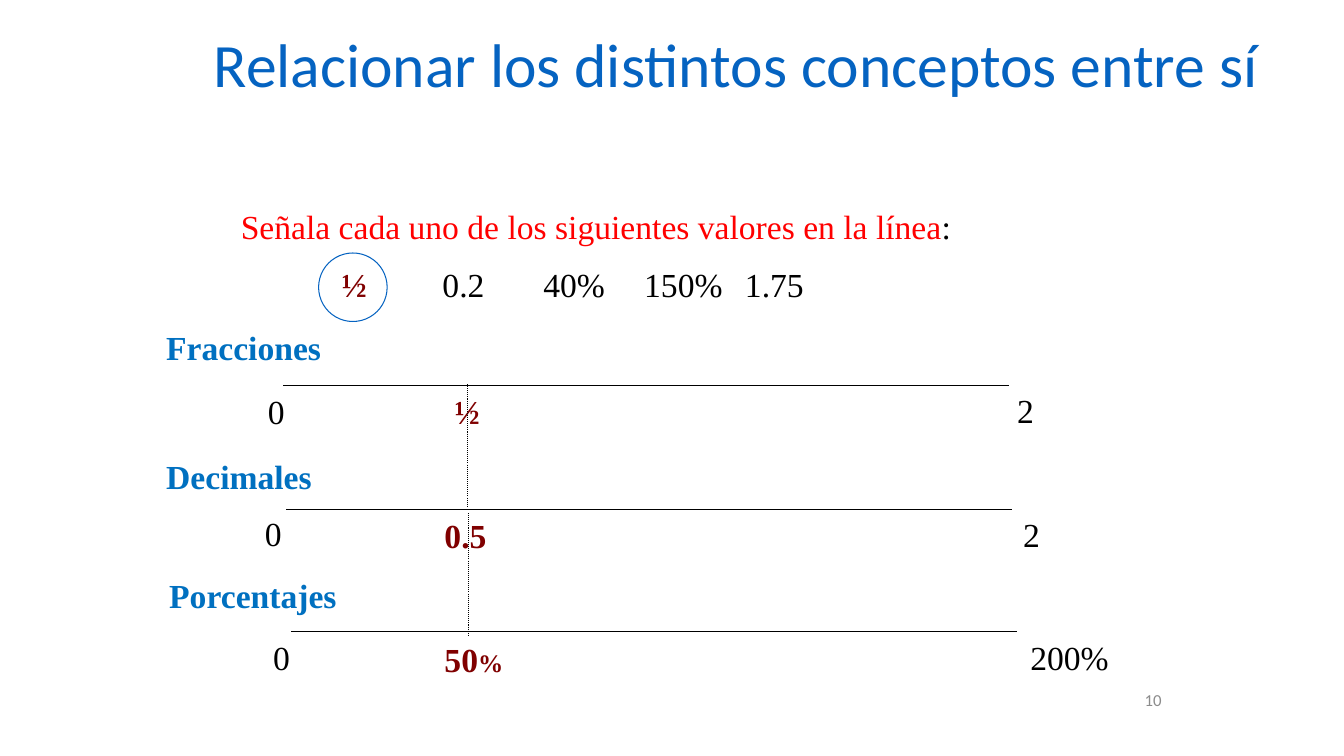
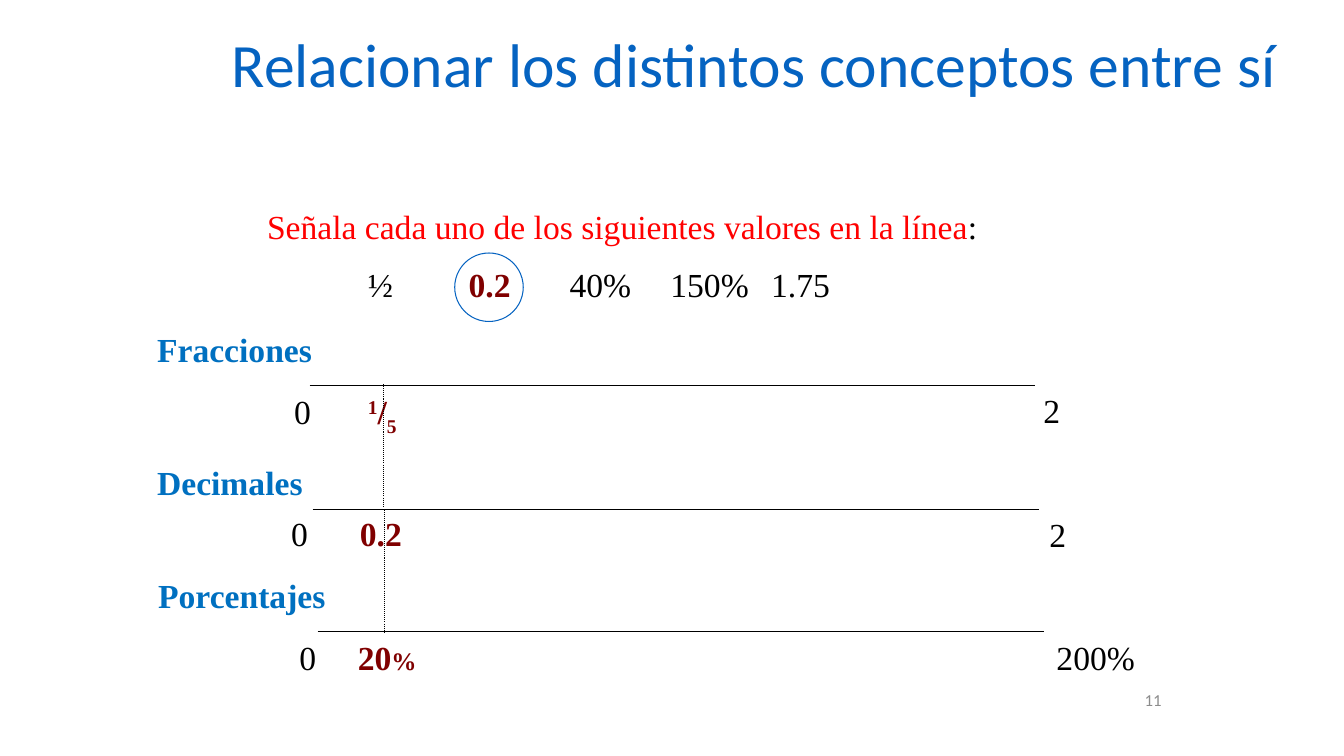
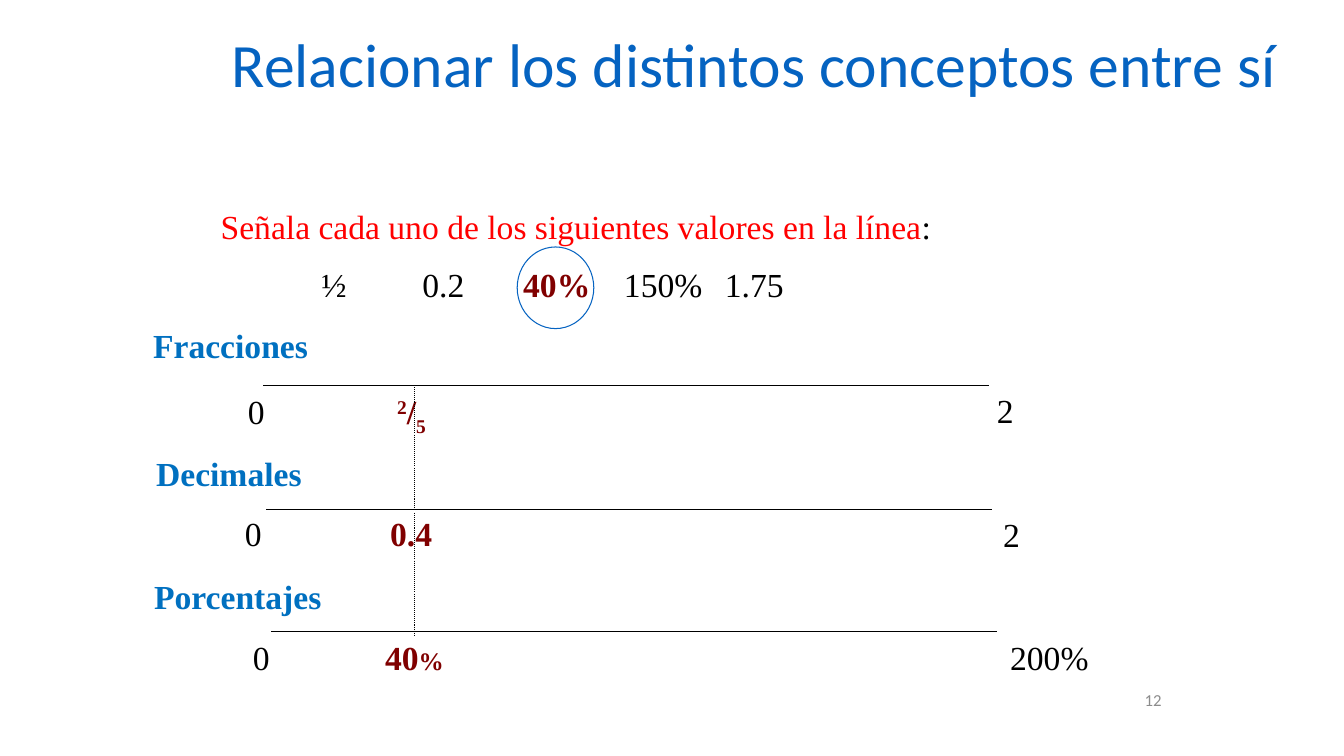
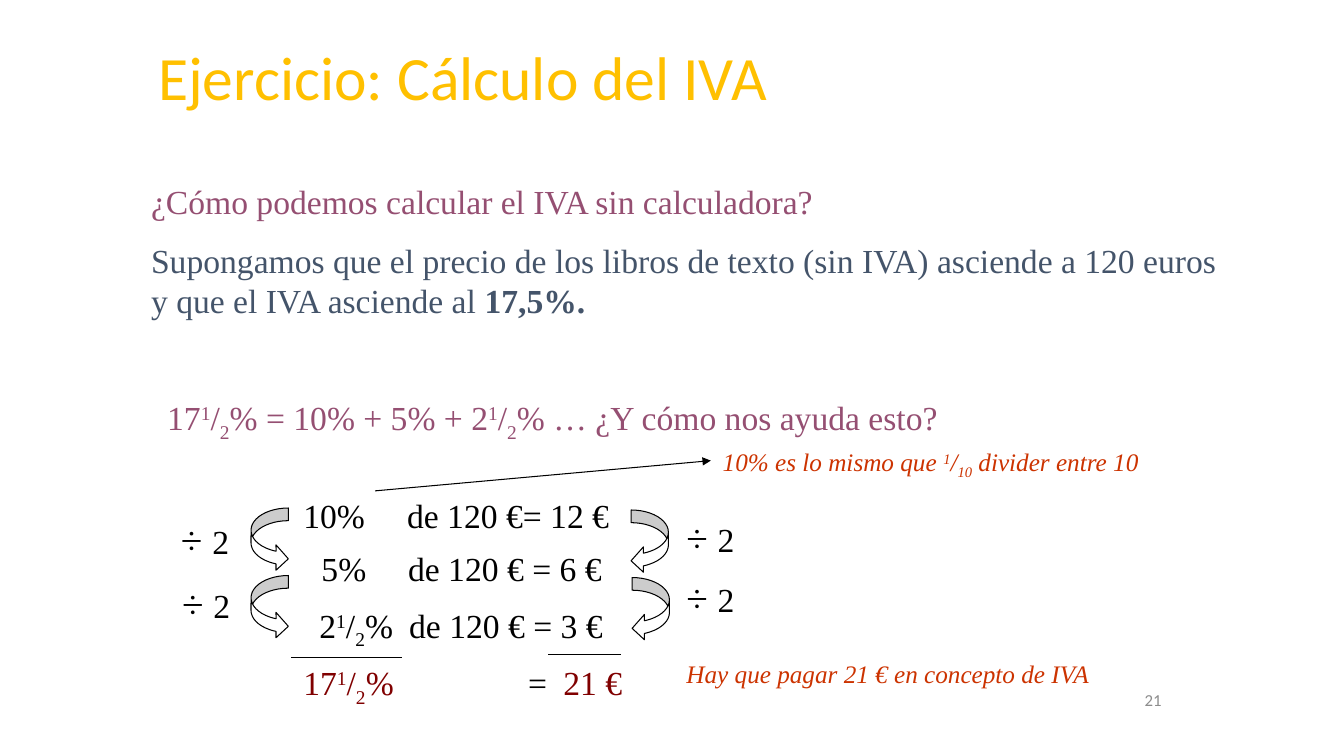
from dataclasses import dataclass
from typing import Any, NamedTuple

from lxml import etree
from pptx import Presentation
from pptx.dml.color import RGBColor
from pptx.enum import dml, shapes, text
from pptx.oxml.ns import qn
from pptx.util import Inches, Pt

BLUE = RGBColor(0x05, 0x63, 0xC1)
HEADING = RGBColor(0x00, 0x70, 0xC0)
GOLD = RGBColor(0xFF, 0xC0, 0x00)
RED = RGBColor(0xFF, 0x00, 0x00)
MAROON = RGBColor(0x80, 0x00, 0x00)
PLUM = RGBColor(0x95, 0x4F, 0x72)
SLATE = RGBColor(0x44, 0x54, 0x6A)
RUST = RGBColor(0xCC, 0x33, 0x00)
GREY = RGBColor(0x8C, 0x8C, 0x8C)
BLACK = RGBColor(0, 0, 0)
WHITE = RGBColor(0xFF, 0xFF, 0xFF)

SANS, SERIF = "Calibri", "Times New Roman"
RIGHT = text.PP_ALIGN.RIGHT
VALUES = ("½", "0.2", "40%", "150%", "1.75")


class Run(NamedTuple):
    text: str
    color: RGBColor = BLACK
    format: dict[str, Any] = {}
    baseline: int = 0


class Point(NamedTuple):
    x: float
    y: float


class Box(NamedTuple):
    left: float
    top: float
    width: float
    height: float = 0.5


Paragraph = list[Run]


class Scale(NamedTuple):
    """A number line; x offsets are from the left of the exercise."""
    name: str
    end: str
    end_width: float
    y: float
    line_dx: float
    zero_dx: float
    zero_y: float
    end_dx: float


SCALES = (
    Scale("Fracciones", "2", 0.57, 3.82, 0.52, 0.27, 3.83, 7.7),
    Scale("Decimales", "2", 0.57, 5.05, 0.55, 0.24, 5.04, 7.76),
    Scale("Porcentajes", "200%", 1.19, 6.27, 0.6, 0.32, 6.27, 7.83),
)
SCALE_LENGTH = 7.2


@dataclass(frozen=True)
class Exercise:
    number: int
    title: Box
    left: float
    chosen: int
    circle: Box
    headings: tuple[Point, ...]
    marks: tuple[Paragraph, ...]
    mark_points: tuple[Point, ...]
    guides: tuple[Point, ...]


def fraction(top: str, bottom: str, color: RGBColor = BLACK, **fmt: Any) -> Paragraph:
    return [Run(top, color, fmt, 30), Run("/", color, fmt), Run(bottom, color, fmt, -25)]


def bold(value: str) -> Paragraph:
    return [Run(value, MAROON, {"bold": True})]


def percent(value: str) -> Paragraph:
    return bold(value) + [Run("%", MAROON, {"bold": True, "size": Pt(18)})]


def add_text(parent: Any, box: Box, *paragraphs: Paragraph, tabs: tuple[float, ...] = (),
             anchor: Any = text.MSO_ANCHOR.TOP, **layout: Any) -> None:
    sp = parent.add_textbox(*map(Inches, box))
    tf = sp.text_frame
    tf.word_wrap = True
    tf.vertical_anchor = anchor
    for i, runs in enumerate(paragraphs):
        p = tf.paragraphs[0] if i == 0 else tf.add_paragraph()
        if tabs:
            stops = etree.SubElement(p._p.get_or_add_pPr(), qn("a:tabLst"))
            for x in tabs:
                etree.SubElement(stops, qn("a:tab"), pos=str(Inches(x)), algn="l")
        if i:
            p.space_before = Pt(13)
        for key, value in layout.items():
            setattr(p, key, value)
        for run in runs:
            r = p.add_run()
            r.text = run.text
            for key, value in ({"name": SERIF, "size": Pt(24)} | run.format).items():
                setattr(r.font, key, value)
            r.font.color.rgb = run.color
            if run.baseline:
                r._r.get_or_add_rPr().set("baseline", str(run.baseline * 1000))


def add_line(parent: Any, start: Point, end: Point, dotted: bool = False,
             arrow: bool = False) -> None:
    line = parent.add_connector(shapes.MSO_CONNECTOR.STRAIGHT, *map(Inches, start + end))
    line.line.color.rgb = BLACK
    line.line.width = Pt(0.75)
    if dotted:
        line.line.dash_style = dml.MSO_LINE.ROUND_DOT
    if arrow:
        etree.SubElement(line.line._get_or_add_ln(), qn("a:tailEnd"), type="triangle")
    etree.SubElement(line._element.spPr, qn("a:effectLst"))


def add_outlined(parent: Any, kind: Any, box: Box, color: RGBColor) -> Any:
    sp = parent.add_shape(kind, *map(Inches, box))
    sp.shadow.inherit = False
    sp.fill.background()
    sp.line.color.rgb = color
    sp.line.width = Pt(0.75)
    return sp


def add_curved_arrow(parent: Any, left: float, top: float, flipped: bool) -> None:
    sp = add_outlined(parent, shapes.MSO_SHAPE.CURVED_RIGHT_ARROW,
                      Box(left, top, 0.37, 0.63), BLACK)
    sp.fill.solid()
    sp.fill.fore_color.rgb = WHITE
    for i, value in enumerate((0.34, 0.68, 0.33)):
        sp.adjustments[i] = value
    if flipped:
        sp._element.spPr.get_or_add_xfrm().set("flipH", "1")


def new_slide(prs: Any, number: int, title: str, box: Box, color: RGBColor) -> Any:
    """Add a slide with its title and page number; return its shapes."""
    sps = prs.slides.add_slide(prs.slide_layouts[6]).shapes
    add_text(sps, Box(9.29, 6.74, 2.33, 0.4),
             [Run(str(number), GREY, {"name": SANS, "size": Pt(12)})],
             anchor=text.MSO_ANCHOR.MIDDLE, alignment=RIGHT)
    add_text(sps, box, [Run(title, color, {"name": SANS, "size": Pt(44)})], line_spacing=0.9)
    return sps


def add_scale(sps: Any, scale: Scale, left: float, heading: Point) -> None:
    group = sps.add_group_shape().shapes
    x = left + scale.line_dx
    add_line(group, Point(x, scale.y), Point(x + SCALE_LENGTH, scale.y))
    add_text(group, Box(*heading, 2.52), [Run(scale.name, HEADING, {"bold": True})])
    add_text(group, Box(left + scale.zero_dx, scale.zero_y, 0.57), [Run("0")])
    add_text(group, Box(left + scale.end_dx, scale.y, scale.end_width), [Run(scale.end)])


def build_exercise(prs: Any, ex: Exercise) -> None:
    sps = new_slide(prs, ex.number, "Relacionar los distintos conceptos entre sí",
                    ex.title, BLUE)
    values = []
    for i, value in enumerate(VALUES):
        values += [Run("\t"), *(bold(value) if i == ex.chosen else [Run(value)])]
    add_text(sps, Box(ex.left, 1.99, 9.02, 1.11),
             [Run("Señala cada uno de los siguientes valores en la línea", RED), Run(":")],
             values, tabs=(1, 2, 3, 4, 5))
    for scale, heading in zip(SCALES, ex.headings):
        add_scale(sps, scale, ex.left, heading)
    for runs, point, width in zip(ex.marks, ex.mark_points, (0.56, 0.72, 0.89)):
        add_text(sps, Box(*point, width), runs)
    for x, y in ex.guides:
        add_line(sps, Point(x, y), Point(x, y + 1.22), dotted=True)
    add_outlined(sps, shapes.MSO_SHAPE.OVAL, ex.circle, BLUE)


def build_vat(prs: Any) -> None:
    sps = new_slide(prs, 21, "Ejercicio: Cálculo del IVA", Box(1.47, 0.42, 11.25, 1.25), GOLD)
    add_text(sps, Box(1.4, 1.75, 10.93, 1.51),
             [Run("¿Cómo podemos calcular el IVA sin calculadora?", PLUM)],
             [Run("Supongamos que el precio de los libros de texto (sin IVA) asciende "
                  "a 120 euros y que el IVA asciende al ", SLATE),
              Run("17,5%.", SLATE, {"bold": True})])
    half = fraction("1", "2", PLUM)
    add_text(sps, Box(1.56, 3.89, 8.27),
             [Run("17", PLUM), *half, Run("% = 10% + 5% + 2", PLUM), *half,
              Run("% … ¿Y cómo nos ayuda esto?", PLUM)])

    steps = (
        (Box(2.91, 4.86, 3.95), 1.03, [Run("10%\tde 120 €= 12 €")]),
        (Box(3.09, 5.39, 3.84), 0.86, [Run("5%\tde 120 € = 6 €")]),
        (Box(3.07, 5.95, 3.46), 0.89,
         [Run("2"), *fraction("1", "2"), Run("%\tde 120 € = 3 €")]),
    )
    for box, tab, runs in steps:
        add_text(sps, box, runs, tabs=(tab,))
    add_line(sps, Point(2.89, 6.52), Point(3.99, 6.52))
    add_line(sps, Point(5.44, 6.49), Point(6.16, 6.49))
    add_text(sps, Box(2.91, 6.52, 3.73),
             [Run("17", MAROON), *fraction("1", "2", MAROON), Run("%", MAROON),
              Run("\t="), Run("\t21 €", MAROON)], tabs=(2.23, 2.58))

    for left, top, flipped in ((2.49, 5.04, False), (2.49, 5.71, False),
                               (6.27, 5.73, True), (6.26, 5.06, True)):
        add_curved_arrow(sps, left, top, flipped)
    for left, top, align in ((1.66, 5.06, RIGHT), (1.67, 5.7, RIGHT),
                             (6.71, 5.04, None), (6.71, 5.64, None)):
        add_text(sps, Box(left, top, 0.71, 0.57),
                 [Run("÷ ", BLACK, {"size": Pt(28)}), Run("2")], alignment=align)

    note = {"size": Pt(18), "italic": True}
    add_text(sps, Box(7.07, 4.38, 4.56, 0.4),
             [Run("10% es lo mismo que ", RUST, note), *fraction("1", "10", RUST, **note),
              Run(" divider entre 10", RUST, note)])
    add_line(sps, Point(3.72, 4.87), Point(7.05, 4.57), arrow=True)
    add_text(sps, Box(6.71, 6.48, 4.56, 0.4),
             [Run("Hay que pagar 21 € en concepto de IVA", RUST, note)])


EXERCISES = (
    Exercise(10, Box(2.02, 0.29, 10.92, 1.25), 2.29, 0, Box(3.16, 2.51, 0.68, 0.68),
             (Point(1.55, 3.19), Point(1.55, 4.47), Point(1.58, 5.65)),
             (bold("½"), bold("0.5"), percent("50")),
             (Point(4.41, 3.83), Point(4.31, 5.06), Point(4.31, 6.29)),
             (Point(4.64, 3.81), Point(4.65, 5.09))),
    Exercise(11, Box(2.2, 0.29, 10.77, 1.25), 2.55, 1, Box(4.51, 2.51, 0.68, 0.68),
             (Point(1.46, 3.21), Point(1.46, 4.53), Point(1.47, 5.65)),
             (fraction("1", "5", MAROON, bold=True), bold("0.2"), percent("20")),
             (Point(3.55, 3.83), Point(3.47, 5.04), Point(3.45, 6.27)),
             (Point(3.8, 3.81), Point(3.81, 5.06))),
    Exercise(12, Box(2.2, 0.29, 10.77, 1.25), 2.09, 2, Box(5.13, 2.45, 0.76, 0.81),
             (Point(1.42, 3.17), Point(1.45, 4.44), Point(1.43, 5.66)),
             (fraction("2", "5", MAROON, bold=True), bold("0.4"), percent("40")),
             (Point(3.84, 3.83), Point(3.77, 5.04), Point(3.72, 6.27)),
             (Point(4.11, 3.84), Point(4.11, 5.09))),
)


def main() -> None:
    prs = Presentation()
    prs.slide_width, prs.slide_height = Inches(13.33), Inches(7.5)
    for exercise in EXERCISES:
        build_exercise(prs, exercise)
    build_vat(prs)
    prs.save("out.pptx")


if __name__ == "__main__":
    main()
